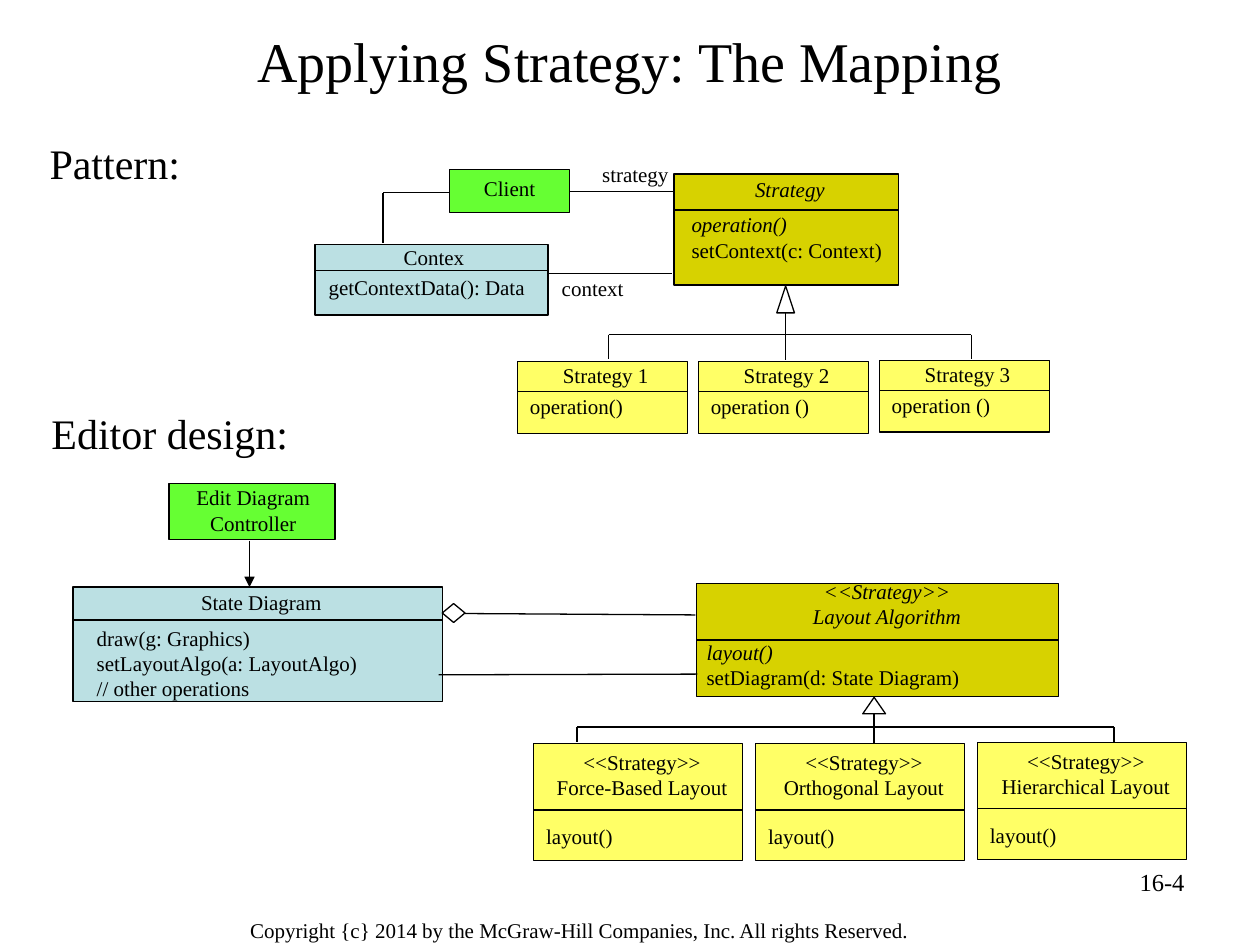
from lxml import etree
from pptx import Presentation
from pptx import util as u
from pptx.dml.color import RGBColor
from pptx.enum import shapes, text
from pptx.oxml.ns import qn

FONT = "Times New Roman"
BLACK, WHITE = "000000", "FFFFFF"
GREEN, BLUE, OLIVE, YELLOW = "66FF33", "BBE0E3", "D7D200", "FFFF66"
LEFT, CENTER, RIGHT = text.PP_ALIGN.LEFT, text.PP_ALIGN.CENTER, text.PP_ALIGN.RIGHT


def color(hex_string):
    return RGBColor.from_string(hex_string)


def line(wording, align=LEFT, italic=False, before=0, after=0):
    return wording, align, italic, before, after


def heading(wording, italic=False):
    return line(wording, CENTER, italic, after=3)


def write(shape, lines, size=12, anchor=text.MSO_ANCHOR.TOP):
    frame = shape.text_frame
    frame.word_wrap = True
    frame.vertical_anchor = anchor
    for i, (wording, align, italic, before, after) in enumerate(lines):
        paragraph = frame.paragraphs[0] if i == 0 else frame.add_paragraph()
        paragraph.text = wording
        paragraph.alignment = align
        paragraph.space_before, paragraph.space_after = u.Pt(before), u.Pt(after)
        font = paragraph.font
        font.name, font.size, font.italic = FONT, u.Pt(size), italic
        font.color.rgb = color(BLACK)


def label(slide, place, lines, **style):
    box = slide.shapes.add_textbox(*map(u.Pt, place))
    write(box, lines, **style)


def outline(slide, preset, place, fill):
    shape = slide.shapes.add_shape(preset, *map(u.Pt, place))
    shape.shadow.inherit = False
    shape.fill.solid()
    shape.fill.fore_color.rgb = color(fill)
    shape.line.color.rgb = color(BLACK)
    shape.line.width = u.Pt(0.75)
    return shape


def connect(slide, x1, y1, x2, y2, arrow=False):
    link = slide.shapes.add_connector(
        shapes.MSO_CONNECTOR.STRAIGHT, *map(u.Pt, (x1, y1, x2, y2)))
    link.line.color.rgb = color(BLACK)
    link.line.width = u.Pt(0.75)
    if arrow:
        etree.SubElement(link.line._get_or_add_ln(), qn("a:tailEnd"), type="triangle")
    etree.SubElement(link._element.spPr, qn("a:effectLst"))


def class_box(slide, place, fill, divider, text_place, lines):
    """UML class: box, line under the class name, and its text."""
    left, top, width, _ = place
    outline(slide, shapes.MSO_SHAPE.RECTANGLE, place, fill)
    connect(slide, left, top + divider, left + width, top + divider)
    label(slide, text_place, lines)


def inheritance(slide, triangle, rail, first_x, last_x, child_top):
    """Triangle under the parent, with a stem and a rail to the children."""
    left, top, width, height = triangle
    middle = left + width / 2
    outline(slide, shapes.MSO_SHAPE.ISOSCELES_TRIANGLE, triangle, WHITE)
    connect(slide, middle, top + height, middle, child_top)
    connect(slide, first_x, rail, last_x, rail)
    for x in (first_x, last_x):
        connect(slide, x, rail, x, child_top - 0.7)


def pattern(slide):
    label(slide, (21.2, 75.2, 120, 36), [line("Pattern:")], size=24)

    # Client, context and strategy
    class_box(slide, (180, 139.7, 133.2, 40.3), BLUE, 14.7, (180.7, 136.1, 134.6, 46.1),
              [heading("Contex"), line("getContextData(): Data")])
    class_box(slide, (385.2, 99.4, 128.2, 63.4), OLIVE, 20.6, (388.1, 97.2, 126.7, 64.8),
              [heading("Strategy", True), line("operation()", italic=True, before=3),
               line("setContext(c: Context)")])
    client = outline(slide, shapes.MSO_SHAPE.RECTANGLE, (257, 97, 68.4, 24.5), GREEN)
    write(client, [line("Client", CENTER)])

    # Concrete strategies
    inheritance(slide, (443.9, 163.4, 10.1, 15.4), 191.3, 347.8, 555.1, 206)
    operations = ["operation()", "operation ()", "operation ()"]
    for i, operation in enumerate(operations):
        left, top = 295.7 + 103.4 * i, 206 if i == 2 else 206.6
        class_box(slide, (left, top, 97.2, 41), YELLOW, 17.3,
                  (left, top - 2.9, 100.8, 43.2),
                  [heading(f"Strategy {i + 1}"), line(operation)])

    # Associations
    label(slide, (337, 88.6, 58.3, 22.3), [line("strategy")])
    label(slide, (313.9, 154.1, 68.4, 25.2), [line("context")])
    for ends in [(326, 109.4, 384.5, 109.4), (313.2, 156.2, 383.8, 156.2),
                 (218.9, 110.2, 257, 110.2), (218.9, 110.2, 218.9, 139)]:
        connect(slide, *ends)


def editor_design(slide):
    label(slide, (22.3, 229.3, 180, 36), [line("Editor design:")], size=24)

    # Controller, diagram and layout algorithm
    class_box(slide, (398.2, 333.4, 206.6, 64.8), OLIVE, 32.4, (396.7, 326.9, 220.3, 72.7),
              [line("<<Strategy>>", CENTER, True), heading("Layout Algorithm", True),
               line("layout()", italic=True, before=3),
               line("setDiagram(d: State Diagram)")])
    class_box(slide, (41.8, 335.5, 211, 65.5), BLUE, 18.8, (48.2, 333.4, 202.3, 70.6),
              [heading("State Diagram"), line("draw(g: Graphics)", before=3),
               line("setLayoutAlgo(a: LayoutAlgo)"), line("// other operations")])
    outline(slide, shapes.MSO_SHAPE.RECTANGLE, (96.5, 276.5, 95, 31.7), GREEN)
    label(slide, (86.4, 273.6, 116.6, 39.6), [line("Edit Diagram Controller", CENTER)])

    # Associations
    outline(slide, shapes.MSO_SHAPE.DIAMOND, (252.7, 344.9, 13, 10.8), WHITE)
    connect(slide, 142.6, 308.9, 142.6, 335.5, arrow=True)
    connect(slide, 265.7, 350.6, 397.4, 351.4)
    connect(slide, 250.6, 385.6, 398.5, 385.2)

    # Concrete layouts
    inheritance(slide, (493, 398.5, 13, 9.4), 415.4, 329.8, 636.5, 424.8)
    for i, kind in enumerate(["Force-Based", "Orthogonal", "Hierarchical"]):
        left, top = 305 + 126.8 * i, 424.2 if i == 2 else 424.8
        class_box(slide, (left, top, 119.5, 67), YELLOW, 38,
                  (left, top, 123.8, 68.4),
                  [line("<<Strategy>>", CENTER), heading(f"{kind} Layout"),
                   line("layout()", before=10.6)])


def main():
    deck = Presentation()
    deck.slide_width, deck.slide_height = u.Pt(720), u.Pt(540)
    slide = deck.slides.add_slide(deck.slide_layouts[6])

    # Title and footer
    label(slide, (36, 7.2, 648, 54), [line("Applying Strategy: The Mapping", CENTER)],
          size=32, anchor=text.MSO_ANCHOR.MIDDLE)
    label(slide, (135.9, 520.8, 445.7, 22.3),
          [line("Copyright {c} 2014 by the McGraw-Hill Companies, Inc. All rights Reserved.")])
    label(slide, (516.2, 491.8, 167.8, 37.4), [line("16-4", RIGHT)], size=14)

    pattern(slide)
    editor_design(slide)
    deck.save("out.pptx")


if __name__ == "__main__":
    main()
